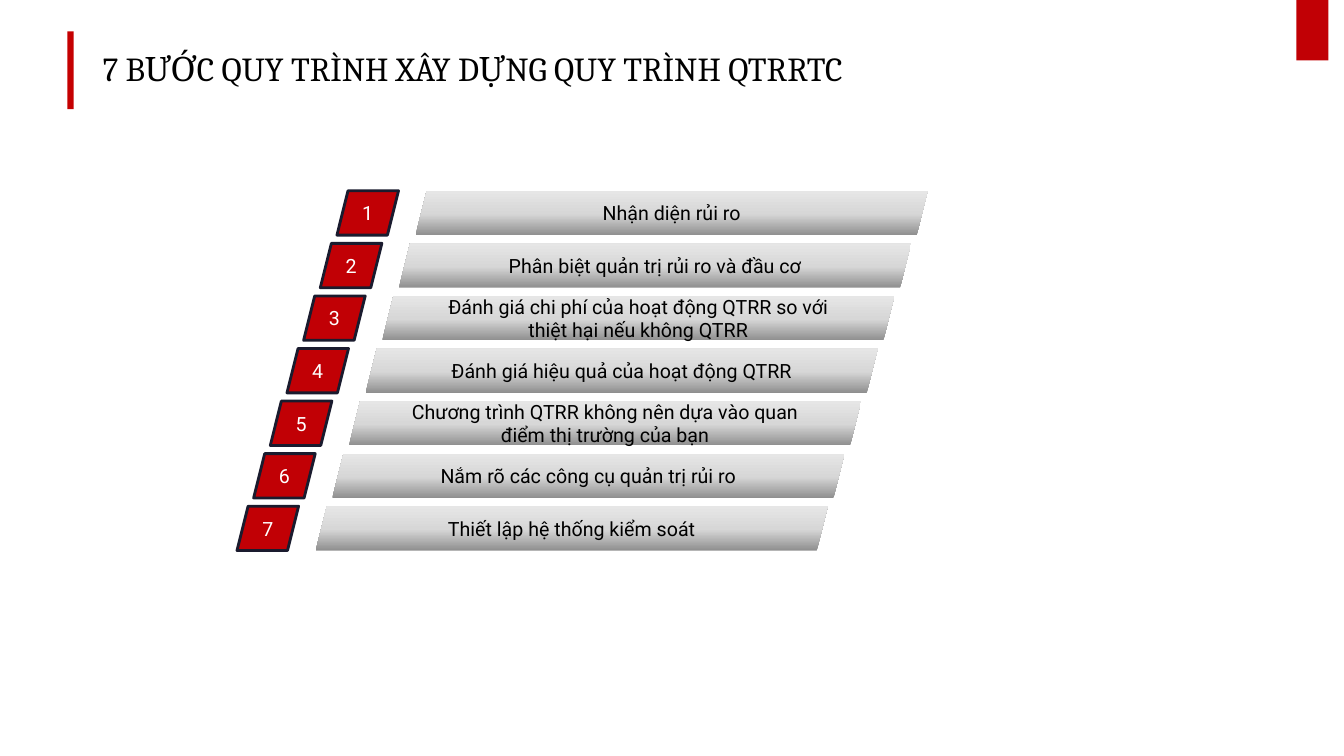
from lxml import etree
from pptx import Presentation
from pptx.dml.color import RGBColor
from pptx.enum.shapes import MSO_SHAPE
from pptx.enum.text import MSO_ANCHOR, PP_ALIGN
from pptx.oxml.ns import qn
from pptx.util import Pt

RED, NAVY, BLACK, WHITE = "C10005", "1A1B2E", "000000", "FFFFFF"
BAR_STOPS = [(0, "8F8F8F"), (48, "D7D7D7"), (100, "E6E6E6")]
# Tone marks are combining characters, written as escapes.
TITLE = ("7 BƯƠ\u0301C QUY TRI\u0300NH XÂY DƯ\u0323NG "
         "QUY TRI\u0300NH QTRRTC")
STEPS = [
    "Nhâ\u0323n diê\u0323n ru\u0309i ro",
    "Phân biê\u0323t qua\u0309n tri\u0323 ru\u0309i ro va\u0300 đâ\u0300u cơ",
    "Đa\u0301nh gia\u0301 chi phi\u0301 cu\u0309a hoa\u0323t đô\u0323ng QTRR "
    "so vơ\u0301i thiê\u0323t ha\u0323i nê\u0301u không QTRR",
    "Đa\u0301nh gia\u0301 hiê\u0323u qua\u0309 cu\u0309a "
    "hoa\u0323t đô\u0323ng QTRR",
    "Chương tri\u0300nh QTRR không nên dư\u0323a va\u0300o quan "
    "điê\u0309m thi\u0323 trươ\u0300ng cu\u0309a ba\u0323n",
    "Nă\u0301m ro\u0303 ca\u0301c công cu\u0323 "
    "qua\u0309n tri\u0323 ru\u0309i ro",
    "Thiê\u0301t lâ\u0323p hê\u0323 thô\u0301ng kiê\u0309m soa\u0301t",
]


def color(hex_code):
    """Turn a hex string into a colour."""
    return RGBColor.from_string(hex_code)


def write(shape, text, font, size, ink, align):
    """Put one vertically centred, wrapping paragraph in a shape."""
    frame = shape.text_frame
    frame.word_wrap = True
    frame.vertical_anchor = MSO_ANCHOR.MIDDLE
    paragraph = frame.paragraphs[0]
    paragraph.alignment = align
    run = paragraph.add_run()
    run.text = text
    run.font.name, run.font.size = font, Pt(size)
    run.font.color.rgb = color(ink)
    return paragraph


def add_block(slide, kind, box, fill):
    """Add a flat, unlined shape with a solid fill."""
    shape = slide.shapes.add_shape(kind, *map(Pt, box))
    shape.shadow.inherit = False
    shape.fill.solid()
    shape.fill.fore_color.rgb = color(fill)
    shape.line.fill.background()
    return shape


def shade_upward(shape, stops):
    """Give a shape a gradient that runs from bottom to top."""
    shape.fill.gradient()
    shape.fill.gradient_angle = 90
    stop_list = shape._element.spPr.find(qn("a:gradFill")).find(qn("a:gsLst"))
    for old_stop in list(stop_list):
        stop_list.remove(old_stop)
    for percent, hex_code in stops:
        stop = etree.SubElement(stop_list, qn("a:gs"), pos=str(percent * 1000))
        etree.SubElement(stop, qn("a:srgbClr"), val=hex_code)


def add_header(slide, left, top, width, height):
    """Draw the corner tab, the accent bar and the title."""
    tab = add_block(slide, MSO_SHAPE.RECTANGLE,
                    (left + width + 38.2, 8.6, 46, 23), RED)
    tab.rotation = 90
    add_block(slide, MSO_SHAPE.RECTANGLE, (left, top, 4.5, height), "C50001")
    title = slide.shapes.add_textbox(
        Pt(left + 18), Pt(top + 12), Pt(width), Pt(32))
    paragraph = write(title, TITLE, "Cambria", 24, BLACK, PP_ALIGN.LEFT)
    paragraph.line_spacing = 0.9


def add_step(slide, left, top, width, height, number, label):
    """Draw one step: a numbered tile and its label bar."""
    tile_width, bar_offset = 44, 56.2
    tile = add_block(slide, MSO_SHAPE.PARALLELOGRAM,
                     (left, top, tile_width, height), RED)
    tile.line.color.rgb = color(NAVY)
    tile.line.width = Pt(2)
    write(tile, str(number), "Roboto", 14, WHITE, PP_ALIGN.CENTER)
    bar = add_block(slide, MSO_SHAPE.PARALLELOGRAM,
                    (left + bar_offset, top, width - bar_offset, height),
                    BAR_STOPS[0][1])
    shade_upward(bar, BAR_STOPS)
    write(bar, label, "Roboto", 14, BLACK, PP_ALIGN.CENTER)


def add_staircase(slide, left, top, width, height):
    """Stack the steps in the box, each shifted left of the one above."""
    step_width, step_height = 422, 31.7
    shift = (width - step_width) / (len(STEPS) - 1)
    pitch = (height - step_height) / (len(STEPS) - 1)
    for index, label in enumerate(STEPS):
        add_step(slide, left + width - step_width - index * shift,
                 top + index * pitch, step_width, step_height,
                 index + 1, label)


def main():
    """Build and save the slide."""
    deck = Presentation()
    deck.slide_width, deck.slide_height = Pt(960), Pt(540)
    slide = deck.slides.add_slide(deck.slide_layouts[6])
    add_header(slide, 48.2, 22.5, 828, 55.5)
    add_staircase(slide, 169.3, 136.3, 493.4, 257)
    deck.save("out.pptx")


main()
